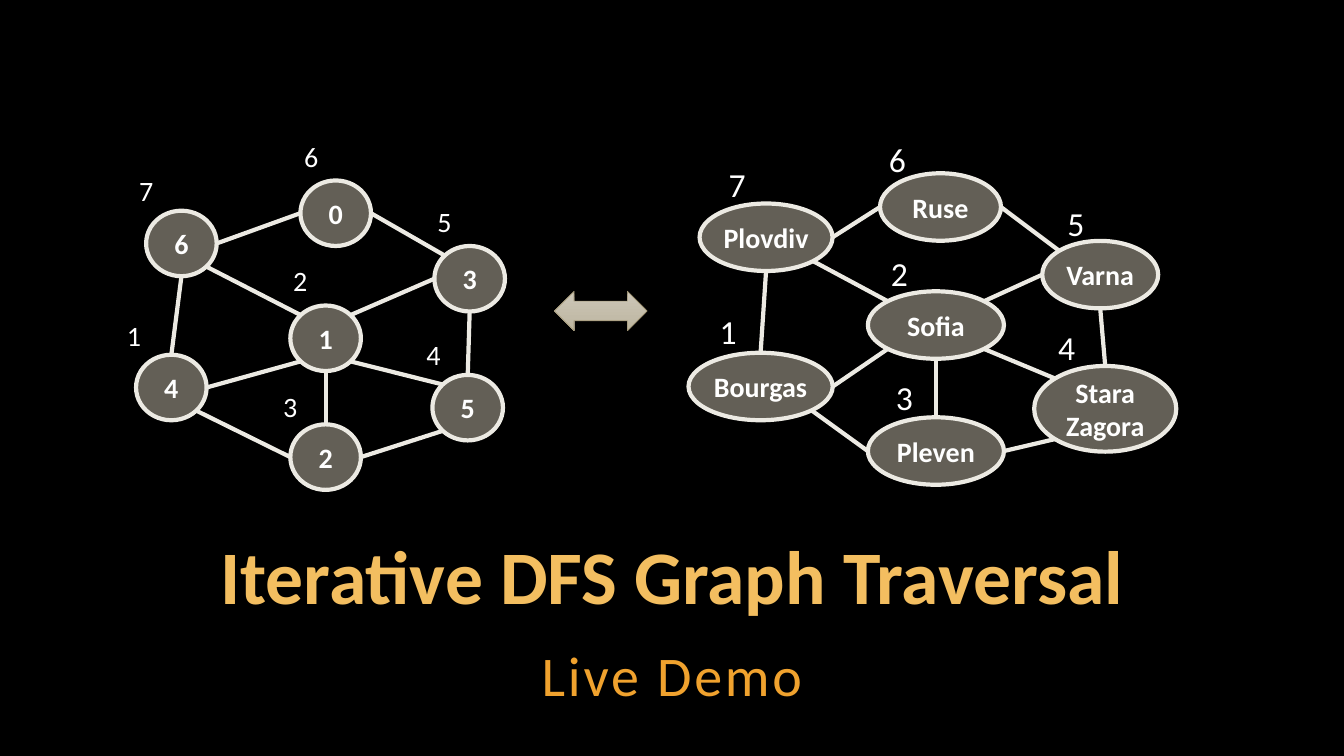
import math

import lxml.etree
import pptx
import pptx.dml.color
import pptx.enum.shapes
import pptx.enum.text
import pptx.oxml.ns
import pptx.util

Pt = pptx.util.Pt
RGBColor = pptx.dml.color.RGBColor
SHAPE = pptx.enum.shapes.MSO_SHAPE
ALIGN = pptx.enum.text.PP_ALIGN
ANCHOR = pptx.enum.text.MSO_ANCHOR
FIT = pptx.enum.text.MSO_AUTO_SIZE
qn = pptx.oxml.ns.qn

FONT = "Calibri"
BLACK = RGBColor(0x00, 0x00, 0x00)
WHITE = RGBColor(0xFF, 0xFF, 0xFF)
GOLD = RGBColor(0xF3, 0xBE, 0x60)
ORANGE = RGBColor(0xF0, 0xA2, 0x2E)
NODE_FILL = RGBColor(0xC7, 0xBF, 0xAC)
NODE_LINE = RGBColor(0xEC, 0xEA, 0xE3)
ARROW_TOP = RGBColor(0xCD, 0xC7, 0xB9)
ARROW_BOTTOM = RGBColor(0xBD, 0xB5, 0x9F)
ARROW_LINE = RGBColor(0xA1, 0x95, 0x74)

# Directions from the centre of an ellipse to the points where edges meet it.
DIAGONAL = math.sqrt(0.5)
SITES = {
    "top": (0, -1), "bottom": (0, 1), "left": (-1, 0), "right": (1, 0),
    "top left": (-DIAGONAL, -DIAGONAL), "top right": (DIAGONAL, -DIAGONAL),
    "bottom left": (-DIAGONAL, DIAGONAL), "bottom right": (DIAGONAL, DIAGONAL),
}

# Both graphs have the same edges: node, site, node, site.
EDGES = [
    (0, "left", 6, "right"),
    (0, "right", 3, "top left"),
    (3, "bottom", 5, "top"),
    (6, "bottom right", 1, "top left"),
    (6, "bottom", 4, "top"),
    (4, "bottom right", 2, "left"),
    (3, "left", 1, "top right"),
    (1, "bottom", 2, "top"),
    (5, "bottom left", 2, "right"),
    (4, "right", 1, "bottom left"),
    (1, "bottom right", 5, "top left"),
]

# Nodes 0 to 6: left, top, width, height.
NUMBER_NODES = [(left, top, 50.4, 46.8) for left, top in [
    (214.6, 128.9), (207.4, 218.2), (207.4, 303.1), (310.3, 175.7),
    (97.2, 253.4), (308.9, 267.8), (104.4, 150.5)]]
CITY_NODES = [
    (628.6, 123.8, 86.4, 48.2), (619.9, 208.1, 97.2, 48.2),
    (619.9, 298.1, 97.2, 48.2), (744.5, 172.1, 82.8, 48.2),
    (491.8, 252, 103, 48.2), (738.7, 261.4, 101.5, 61.2),
    (499.7, 145.4, 95, 48.2)]
CITIES = ["Ruse", "Sofia", "Pleven", "Varna", "Bourgas", "Stara Zagora", "Plovdiv"]

# Places of the visiting order 1 to 7: left, top.
NUMBER_STEPS = [(83.5, 223.9), (202.3, 185), (195.1, 274.3), (297.4, 237.6),
                (305.3, 142.6), (210.2, 95.8), (92.2, 120.2)]
CITY_STEPS = [(506.9, 218.2), (629.3, 177.1), (632.9, 265.7), (748.8, 229.7),
              (755.3, 141.1), (627.8, 95.8), (513.4, 113.8)]


def write(box, text, size, color, bold=False, align=ALIGN.CENTER):
    para = box.text_frame.paragraphs[0]
    para.alignment = align
    span = para.add_run()
    span.text = text
    span.font.name = FONT
    span.font.size = Pt(size)
    span.font.bold = bold
    span.font.color.rgb = color
    return para, span


def set_margins(frame, horizontal, vertical):
    frame.margin_left = frame.margin_right = Pt(horizontal)
    frame.margin_top = frame.margin_bottom = Pt(vertical)


def add_node(shapes, place, name):
    node = shapes.add_shape(SHAPE.OVAL, *map(Pt, place))
    node.shadow.inherit = False
    node.fill.solid()
    node.fill.fore_color.rgb = NODE_FILL
    color = node._element.spPr.find(qn("a:solidFill"))[0]
    lxml.etree.SubElement(color, qn("a:alpha")).set("val", "50000")
    node.line.color.rgb = NODE_LINE
    node.line.width = Pt(3)
    frame = node.text_frame
    frame.word_wrap = True
    frame.vertical_anchor = ANCHOR.MIDDLE
    set_margins(frame, 2.9, 3.6)
    write(node, name, 20, WHITE, bold=True)


def site_point(place, site):
    left, top, width, height = place
    across, down = SITES[site]
    return Pt(left + width * (1 + across) / 2), Pt(top + height * (1 + down) / 2)


def add_edge(shapes, begin, end):
    edge = shapes.add_connector(pptx.enum.shapes.MSO_CONNECTOR.STRAIGHT, *begin, *end)
    edge.line.color.rgb = NODE_LINE
    edge.line.width = Pt(3)
    lxml.etree.SubElement(edge._element.spPr, qn("a:effectLst"))


def add_step(shapes, number, place, extent, size):
    box = shapes.add_textbox(*map(Pt, place + extent))
    box.text_frame.word_wrap = False
    box.text_frame.auto_size = FIT.SHAPE_TO_FIT_TEXT
    write(box, str(number), size, WHITE, align=ALIGN.LEFT)


def add_graph(page, places, names, steps, step_extent, step_size):
    shapes = page.shapes.add_group_shape().shapes
    for place, name in zip(places, names):
        add_node(shapes, place, name)
    for first, first_site, second, second_site in EDGES:
        add_edge(shapes, site_point(places[first], first_site),
                 site_point(places[second], second_site))
    for number, place in enumerate(steps, start=1):
        add_step(shapes, number, place, step_extent, step_size)


def add_double_arrow(page):
    arrow = page.shapes.add_shape(
        SHAPE.LEFT_RIGHT_ARROW, Pt(396), Pt(208.1), Pt(66.2), Pt(28.1))
    arrow.shadow.inherit = False
    arrow.fill.gradient()
    arrow.fill.gradient_angle = 270
    for stop, color in zip(arrow.fill.gradient_stops, (ARROW_TOP, ARROW_BOTTOM)):
        stop.color.rgb = color
    arrow.line.color.rgb = ARROW_LINE
    arrow.line.width = Pt(0.5)


def format_heading(box, top, height, anchor):
    box.left, box.top, box.width, box.height = Pt(72), Pt(top), Pt(816), Pt(height)
    frame = box.text_frame
    frame.word_wrap = True
    frame.auto_size = FIT.SHAPE_TO_FIT_TEXT
    frame.vertical_anchor = anchor
    set_margins(frame, 2.9, 2.9)


def add_headings(page):
    title = page.shapes.title
    format_heading(title, 381.6, 64.8, ANCHOR.BOTTOM)
    para, span = write(title, "Iterative DFS Graph Traversal", 54, GOLD, bold=True)
    para.line_spacing = 0.9

    subtitle = page.shapes.add_textbox(0, 0, 0, 0)
    format_heading(subtitle, 452.2, 56.9, ANCHOR.TOP)
    para, span = write(subtitle, "Live Demo", 40, ORANGE)
    para.line_spacing = 1.05
    para.space_after = Pt(6)
    span._r.get_or_add_rPr().set("spc", "200")


def main():
    deck = pptx.Presentation()
    deck.slide_width, deck.slide_height = Pt(960), Pt(540)
    page = deck.slides.add_slide(deck.slide_layouts.get_by_name("Title Only"))
    page.background.fill.solid()
    page.background.fill.fore_color.rgb = BLACK
    add_headings(page)
    add_double_arrow(page)
    add_graph(page, CITY_NODES, CITIES, CITY_STEPS, (26.6, 36), 24)
    add_graph(page, NUMBER_NODES, map(str, range(7)), NUMBER_STEPS, (30.2, 37.4), 20)
    deck.save("out.pptx")


if __name__ == "__main__":
    main()
